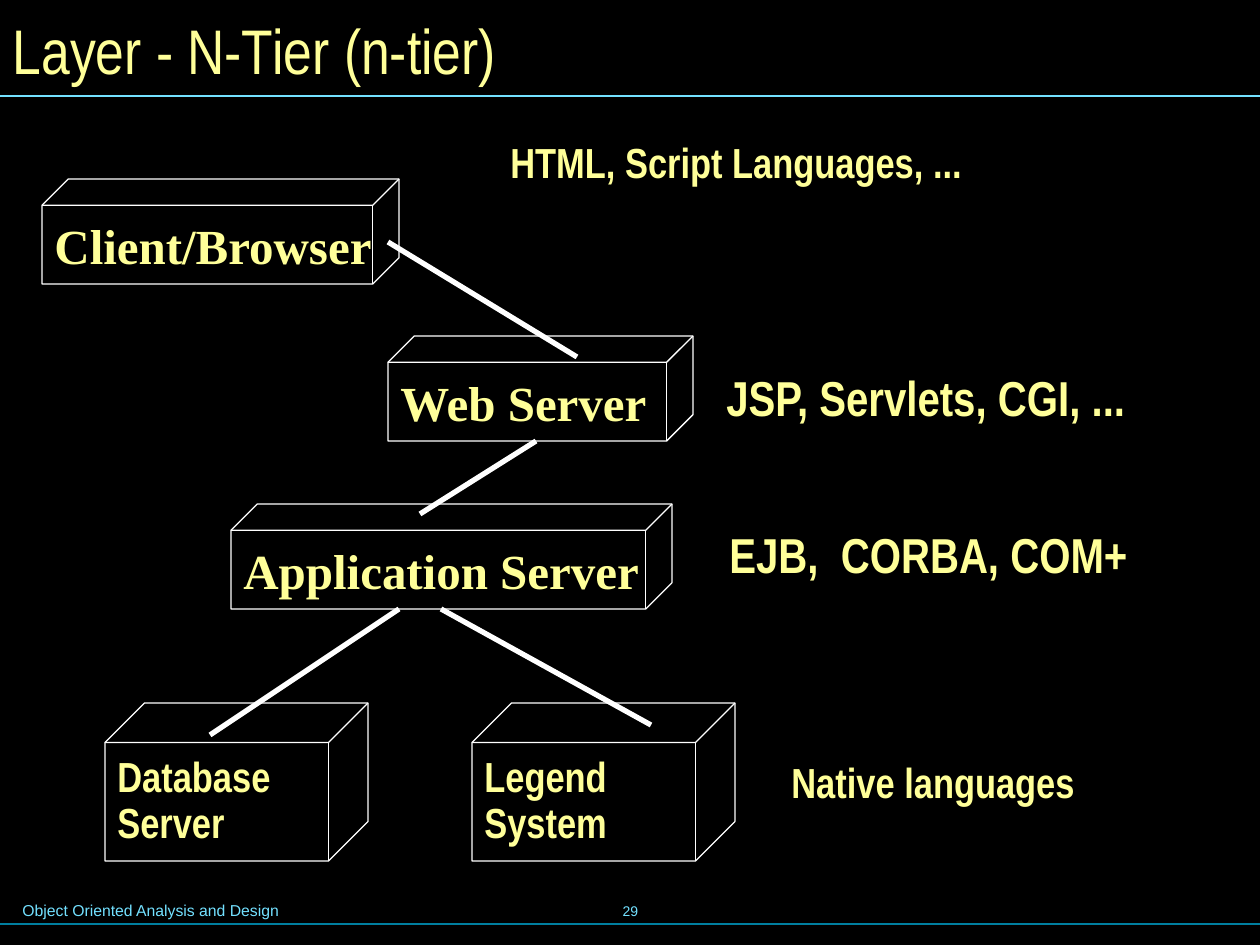
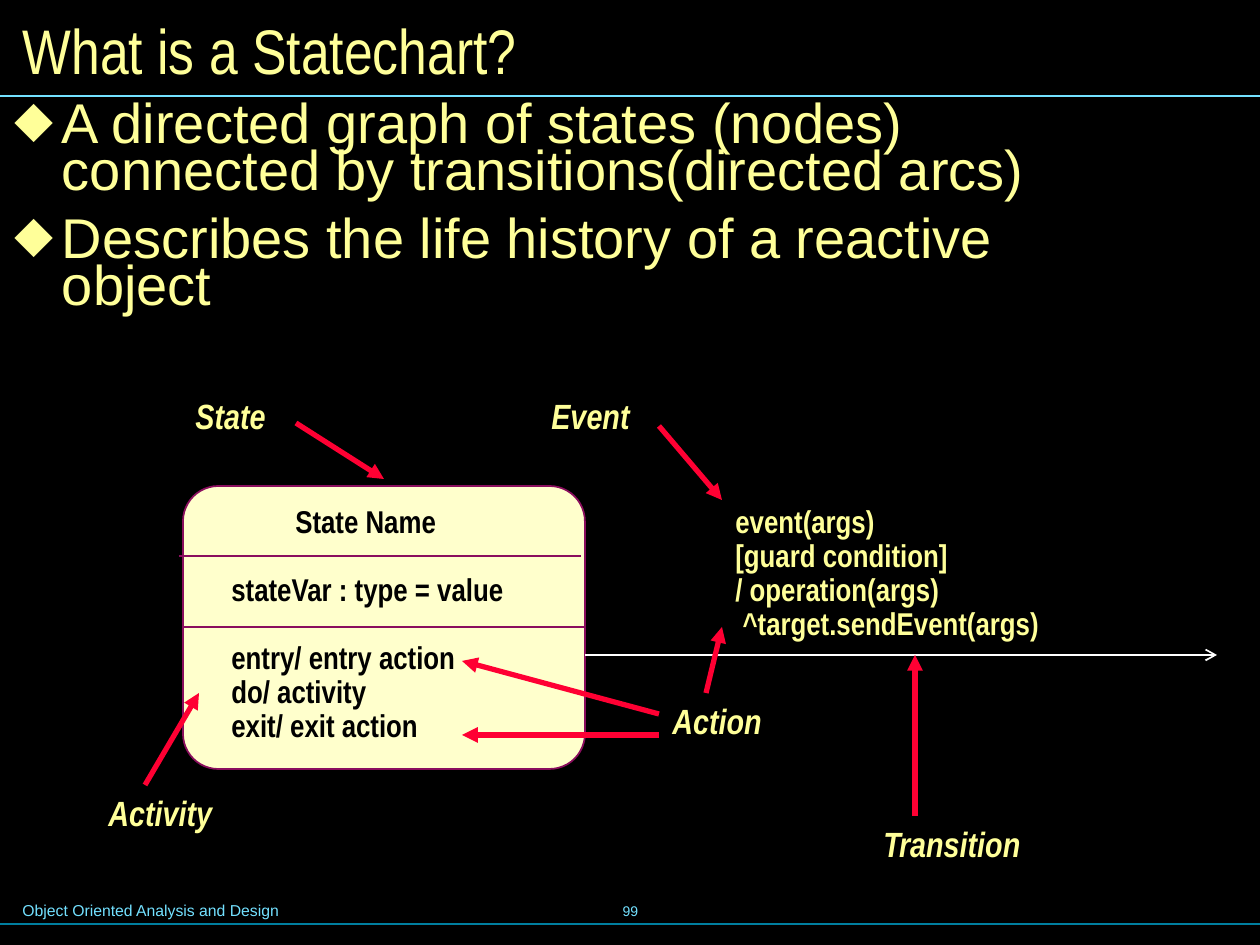
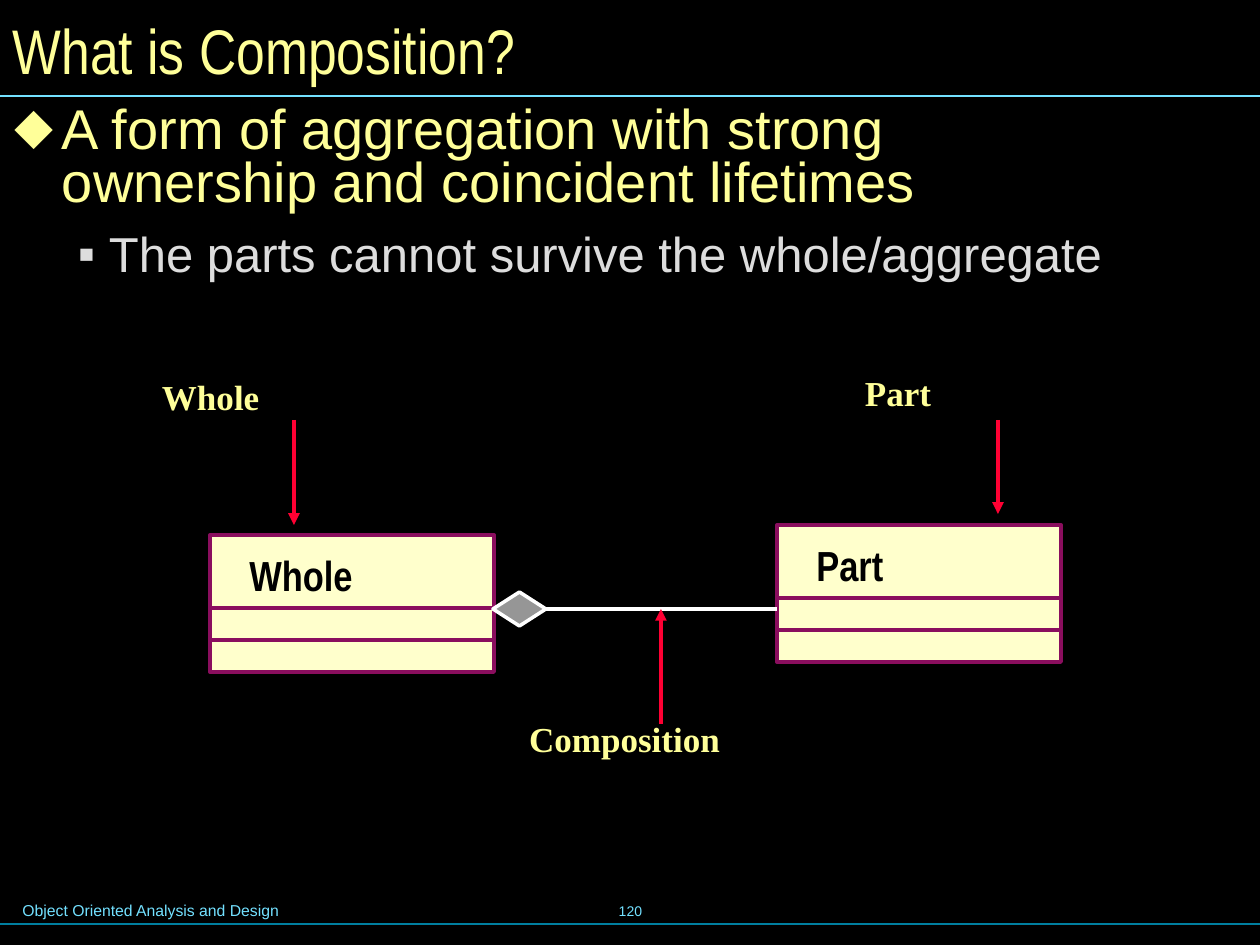
import pptx
import pptx.util
import pptx.dml.color
import pptx.enum.shapes
import pptx.enum.text
import pptx.oxml
import pptx.oxml.ns

Pt = pptx.util.Pt
SHAPE = pptx.enum.shapes.MSO_SHAPE
ANCHOR = pptx.enum.text.MSO_ANCHOR
ALIGN = pptx.enum.text.PP_ALIGN
FIT = pptx.enum.text.MSO_AUTO_SIZE

SCALE = 914400 / 126
WIDE, HIGH = 1260, 945

COLORS = {
    "back": "000000", "ink": "FFFF99", "sub": "DDDDDD", "sky": "73E1FF",
    "teal": "007E9F", "white": "FFFFFF", "cream": "FFFFCC", "plum": "8A0E5E",
    "red": "FF0033", "gray": "969696", "dark": "000000",
}

SANS, SLIM, SERIF = "Arial", "Arial Narrow", "Times New Roman"


def face(name, size, color="ink", bold=False, italic=False):
    font = {"name": name, "size": Pt(size), "bold": bold, "italic": italic}
    return font, color


FACES = {
    "title": face(SLIM, 36),
    "list": face(SANS, 32),
    "sublist": face(SANS, 28, "sub"),
    "foot": face(SANS, 9, "sky"),
    "page": face(SANS, 8, "sky"),
    "note": face(SLIM, 24, bold=True),
    "bignote": face(SLIM, 28, bold=True),
    "node": face(SERIF, 28, bold=True),
    "state": face(SLIM, 18, "dark", bold=True),
    "event": face(SLIM, 18, bold=True),
    "term": face(SLIM, 20, bold=True, italic=True),
    "class": face(SLIM, 24, "dark", bold=True),
    "role": face(SERIF, 20, bold=True),
}

# Left margin, hanging indent and space before of list levels
LEVELS = [
    {"face": "list", "mark": "⬥", "left": 47, "hang": -47, "gap": 12},
    {"face": "sublist", "mark": "▪", "left": 94, "hang": -31, "gap": 10.5},
]


def px(num):
    return round(num * SCALE)


def rgb(key):
    return pptx.dml.color.RGBColor.from_string(COLORS[key])


def apply(thing, form):
    for key, val in form.items():
        setattr(thing, key, val)


def place(shape, box):
    apply(shape, dict(zip(("left", "top", "width", "height"), map(px, box))))


# ---- Text ----

def paint(para, look, **form):
    font, color = FACES[look]
    apply(para, form)
    for run in para.runs:
        apply(run.font, font)
        run.font.color.rgb = rgb(color)


def write(shape, lines, look, form=None, **para):
    frame = shape.text_frame
    apply(frame, form or {})
    frame.text = "\n".join(lines)
    for item in frame.paragraphs:
        paint(item, look, **{"alignment": ALIGN.LEFT, **para})
    return frame.paragraphs


def pad(side, top):
    return {"margin_left": px(side), "margin_right": px(side),
            "margin_top": px(top), "margin_bottom": px(top)}


def label(slide, box, lines, look, wrap=False, form=None, **para):
    shape = slide.shapes.add_textbox(*map(px, box))
    base = {"word_wrap": wrap, "auto_size": FIT.SHAPE_TO_FIT_TEXT}
    return write(shape, lines, look, {**base, **(form or {})}, **para)


def indent(para, left, hang=0):
    props = para._p.get_or_add_pPr()
    props.set("marL", str(px(left)))
    props.set("indent", str(px(hang)))
    return props


def add_xml(parent, tag, inner="", **attrs):
    space = pptx.oxml.ns.nsdecls("a")
    text = " ".join(f'{key}="{val}"' for key, val in attrs.items())
    parent.append(pptx.oxml.parse_xml(f"<a:{tag} {space} {text}>{inner}</a:{tag}>"))


# ---- Shapes and lines ----

def draw(slide, kind, box, line, width, fill=None):
    shape = slide.shapes.add_shape(kind, *map(px, box))
    shape.shadow.inherit = False
    if fill:
        shape.fill.solid()
        shape.fill.fore_color.rgb = rgb(fill)
    else:
        shape.fill.background()
    shape.line.color.rgb = rgb(line)
    shape.line.width = Pt(width)
    return shape


def link(slide, ends, color, width, head=None):
    kind = pptx.enum.shapes.MSO_CONNECTOR.STRAIGHT
    line = slide.shapes.add_connector(kind, *map(px, ends))
    line.line.color.rgb = rgb(color)
    line.line.width = Pt(width)
    if head:
        add_xml(line.line._get_or_add_ln(), "tailEnd", type=head)
    add_xml(line._element.spPr, "effectLst")
    return line


# ---- Shared frame of every slide ----

def start(deck, title, page, left=0, items=(), high=0, space=1.0):
    slide = deck.slides.add_slide(deck.slide_layouts[1 if items else 5])
    label(slide, (10, 895, 643, 32), ["Object Oriented Analysis and Design"],
          "foot", wrap=True)
    label(slide, (431, 879, 399, 63), [str(page)], "page",
          form={"vertical_anchor": ANCHOR.MIDDLE, "auto_size": FIT.NONE},
          alignment=ALIGN.CENTER)
    link(slide, (0, 924, 1265, 924), "teal", 0.75)
    link(slide, (0, 96, WIDE, 96), "sky", 0.75)

    head = slide.shapes.title
    place(head, (left, 0, WIDE - 2 * left, 98))
    write(head, [title], "title",
          {"vertical_anchor": ANCHOR.MIDDLE, "auto_size": FIT.NONE})
    if items:
        bullets(slide.placeholders[1], (0, 98, 1169, high), items, space)
    return slide


def bullets(body, box, items, space):
    place(body, box)
    form = {"vertical_anchor": ANCHOR.TOP, "auto_size": FIT.NONE, **pad(15, 8)}
    paras = write(body, [text for _, text in items], "list", form)
    for num, (para, (depth, _)) in enumerate(zip(paras, items)):
        level = LEVELS[depth]
        look = level["face"]
        props = indent(para, level["left"], level["hang"])
        tint = COLORS[FACES[look][1]]
        add_xml(props, "buClr", f'<a:srgbClr val="{tint}"/>')
        add_xml(props, "buChar", char=level["mark"])
        paint(para, look, level=depth, line_spacing=space + 0.07 * depth,
              space_before=Pt(level["gap"] if num else 0))


# ---- Tiers ----

def cube(slide, box, lines, look, space):
    shape = draw(slide, SHAPE.CUBE, box, "white", 0.75)
    write(shape, lines, look,
          {"word_wrap": False, "vertical_anchor": ANCHOR.MIDDLE},
          line_spacing=space)


def tiers(deck):
    slide = start(deck, "Layer - N-Tier (n-tier)", 29)
    for ends in ((388, 242, 577, 357), (536, 441, 420, 514),
                 (399, 609, 210, 735), (441, 609, 651, 725)):
        link(slide, ends, "white", 3)

    # Servers, then the systems at the foot
    for left, top, wide, name in ((42, 179, 357, "Client/Browser"),
                                  (388, 336, 305, "Web Server"),
                                  (231, 504, 441, "Application Server")):
        cube(slide, (left, top, wide, 105), [name], "node", 1.0)
    for left, lines in ((472, ["Legend", "System"]),
                        (105, ["Database", "Server"])):
        cube(slide, (left, 703, 263, 158), lines, "note", 0.9)

    # Techniques beside each tier
    for box, text, look in (
            ((498, 136, 484, 58), "HTML, Script Languages, ...", "note"),
            ((714, 368, 504, 66), "JSP, Servlets, CGI, ...", "bignote"),
            ((717, 525, 430, 66), "EJB,  CORBA, COM+", "bignote"),
            ((779, 756, 316, 58), "Native languages", "note")):
        label(slide, box, [text], look, line_spacing=0.9)


# ---- Statechart ----

def state(slide, box):
    left, top, wide, high = box
    shape = draw(slide, SHAPE.ROUNDED_RECTANGLE, box, "plum", 1, "cream")
    shape.adjustments[0] = 0.125
    lines = ["State Name", "stateVar : type = value",
             "entry/ entry action", "do/ activity", "exit/ exit action"]
    paras = label(slide, (left + 36, top + 14, 304, 285), lines, "state",
                  line_spacing=0.9)
    indent(paras[0], 64)
    for para in paras[1:3]:
        para.space_before = Pt(19.4)
    for shift, drop in ((-4, 70), (0, 141)):
        link(slide, (left + shift, top + drop, left + shift + wide, top + drop),
             "plum", 1)


def statechart(deck):
    items = [(0, "A directed graph of states (nodes) connected by "
                 "transitions(directed arcs)"),
             (0, "Describes the life history of a reactive object")]
    slide = start(deck, "What is a Statechart?", 99, 10, items, 246, 0.7)
    state(slide, (183, 486, 402, 283))

    # Transition and its text
    link(slide, (585, 655, 1217, 655), "white", 1, "arrow")
    label(slide, (723, 500, 337, 149),
          ["event(args)", "[guard condition]",
           "/ operation(args)\v ^target.sendEvent(args)"],
          "event", line_spacing=0.9)

    # Terms and the arrows from them
    for left, top, wide, text in ((183, 388, 104, "State"),
                                  (539, 388, 112, "Event"),
                                  (871, 816, 172, "Transition"),
                                  (660, 693, 123, "Action"),
                                  (96, 785, 137, "Activity")):
        label(slide, (left, top, wide, 55), [text], "term")
    for ends in ((296, 423, 384, 479), (659, 426, 722, 500),
                 (915, 816, 915, 655), (659, 714, 462, 661),
                 (659, 735, 462, 735), (706, 693, 722, 627),
                 (145, 785, 199, 693)):
        link(slide, ends, "red", 3, "triangle")


# ---- Composition ----

def entity(slide, left, top, name):
    wide, high = 284, 137
    draw(slide, SHAPE.RECTANGLE, (left, top, wide, high), "plum", 2.25, "cream")
    for drop in (73, 105):
        link(slide, (left, top + drop, left + wide, top + drop), "plum", 2.25)
    label(slide, (left + 27, top + 8, 229, 63), [name], "class", wrap=True)


def composition(deck):
    items = [(0, "A form of aggregation with strong ownership and "
                 "coincident lifetimes"),
             (1, "The parts cannot survive the whole/aggregate")]
    slide = start(deck, "What is Composition?", 120, 0, items, 229, 0.8)
    entity(slide, 210, 535, "Whole")
    entity(slide, 777, 525, "Part")

    # Diamond and line between the classes
    gem = draw(slide, SHAPE.DIAMOND, (493, 592, 53, 34), "white", 2, "gray")
    line = link(slide, (546, 609, 777, 609), "white", 2.25)
    line.begin_connect(gem, 3)

    # Roles and the arrows from them
    for left, top, text, ends in (
            (147, 368, "Whole", (294, 420, 294, 525)),
            (514, 709, "Composition", (661, 724, 661, 609)),
            (850, 363, "Part", (998, 420, 998, 514))):
        label(slide, (left, top, 294, 57), [text], "role", wrap=True,
              form=pad(15, 8))
        link(slide, ends, "red", 2.25, "triangle")


def main():
    deck = pptx.Presentation()
    apply(deck, {"slide_width": px(WIDE), "slide_height": px(HIGH)})
    back = deck.slide_master.background.fill
    back.solid()
    back.fore_color.rgb = rgb("back")
    for build in (tiers, statechart, composition):
        build(deck)
    deck.save("out.pptx")


if __name__ == "__main__":
    main()
